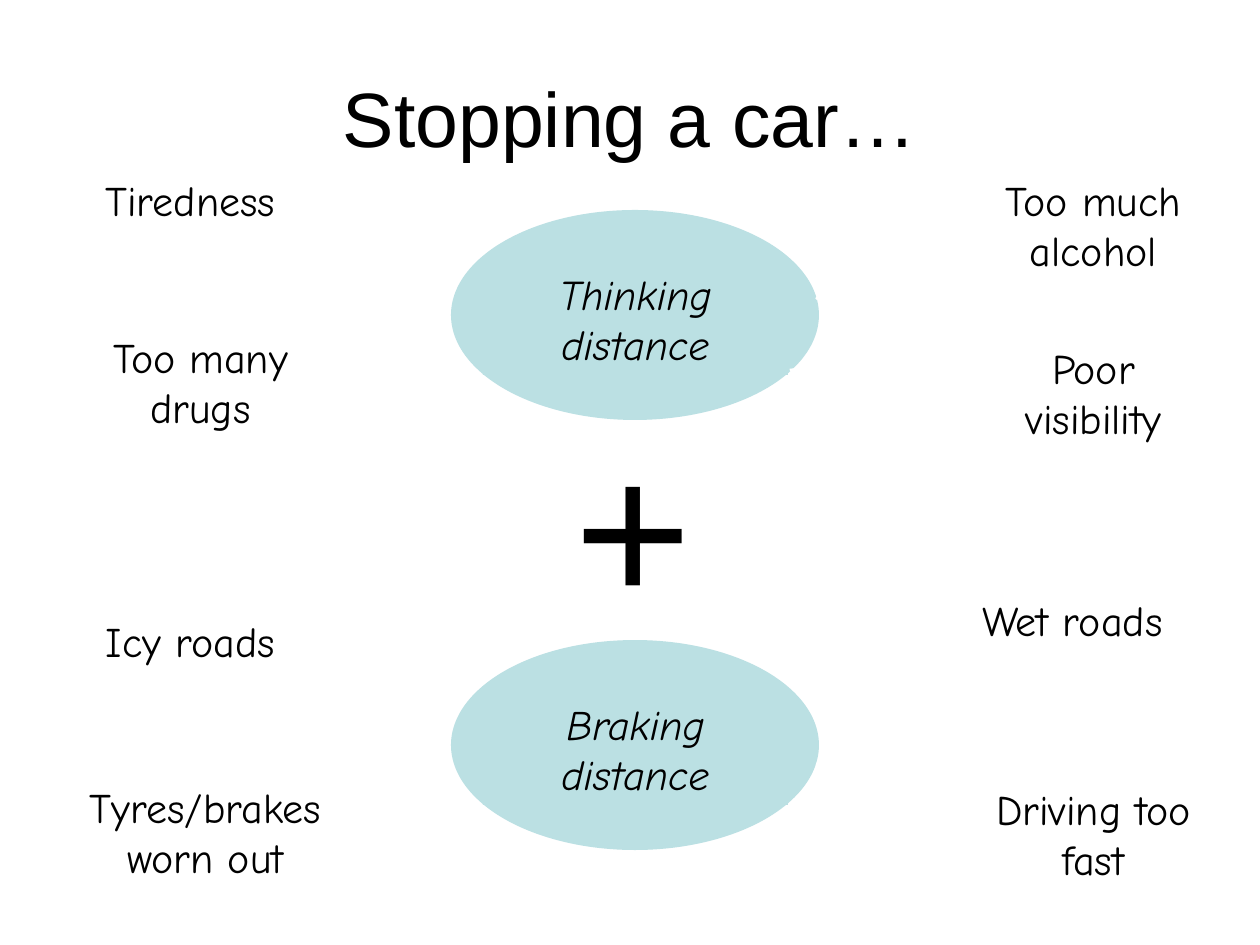
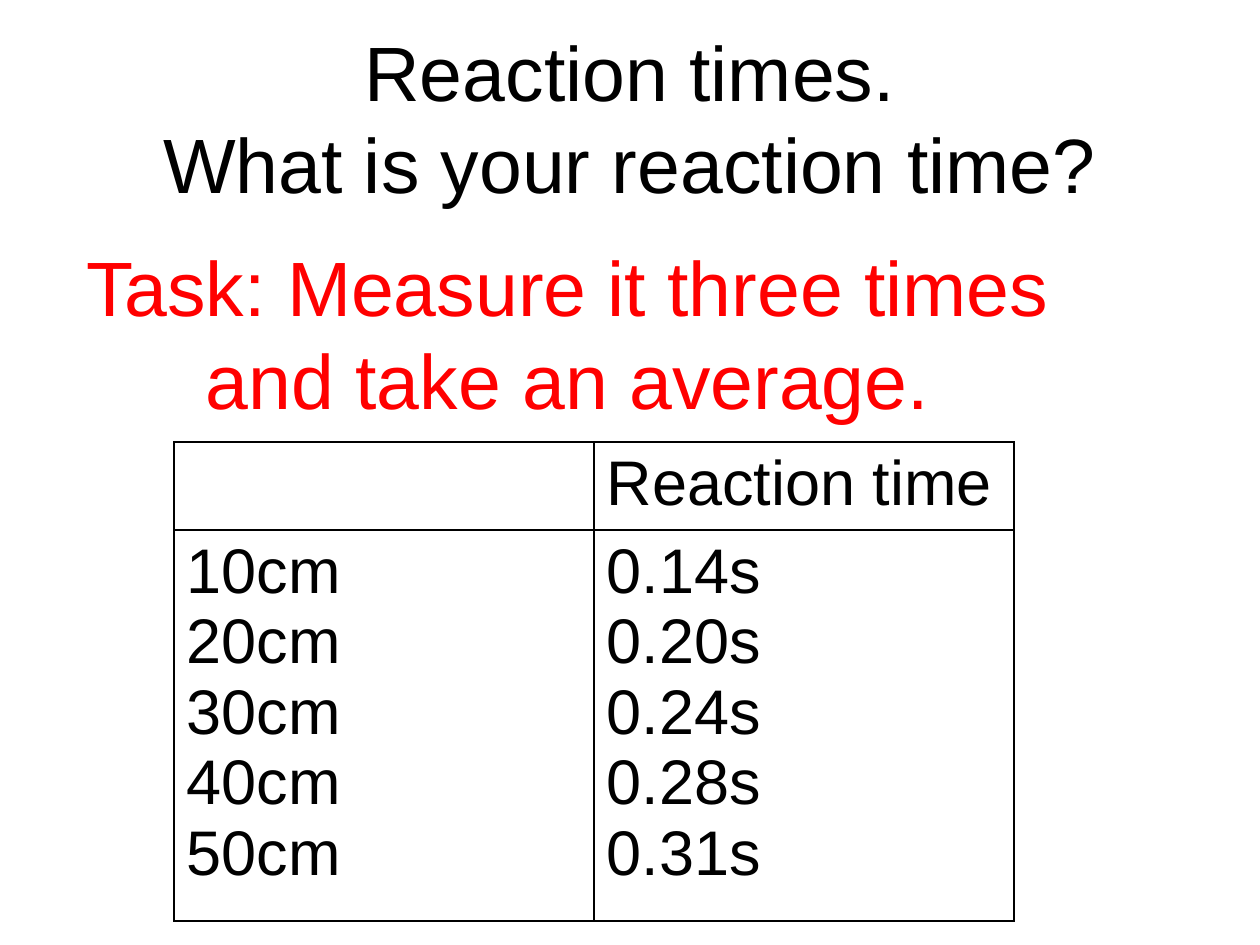
from lxml.etree import SubElement
from pptx import Presentation
from pptx.dml.color import RGBColor
from pptx.enum.shapes import MSO_SHAPE as Preset
from pptx.enum.text import MSO_ANCHOR as Anchor, MSO_AUTO_SIZE as AutoSize, PP_ALIGN as Align
from pptx.oxml.ns import qn
from pptx.util import Emu, Pt

PX_PER_INCH = 126
BLACK, WHITE, RED, PALE_TEAL = "000000", "FFFFFF", "FF0000", "BBE0E3"
HEADING_FONT, LABEL_FONT = "Arial", "Comic Neue"
HEADING_SIZE, LABEL_SIZE, TABLE_SIZE, PLUS_SIZE = 44, 24, 36, 115
TITLE_BOX = (63, 38, 1134, 158)

DISTANCES = [("Braking distance", (451, 640, 368, 210)),
             ("Thinking distance", (451, 210, 368, 210))]
FACTORS = [
    ("Too much alcohol", (966, 168, 255, 118), (0.133, -0.041, 1.111, -0.588)),
    ("Tiredness", (63, 168, 255, 73), (0.214, 1.041, 1.393, 1.567)),
    ("Too many drugs", (73, 325, 255, 118), (0.133, 1.041, 0.044, 1.474)),
    ("Wet roads", (945, 588, 255, 63), (0.25, -0.041, 1.458, -0.619)),
    ("Driving too fast", (966, 777, 255, 118), (0.133, -0.041, -0.111, -0.588)),
    ("Tyres/brakes worn out", (53, 775, 305, 118), (0.133, 1.034, 0, 1.31)),
    ("Icy roads", (63, 609, 255, 73), (0.214, 1.041, 1.393, 1.546)),
    ("Poor visibility", (966, 336, 255, 118), (0.133, -0.041, 0.289, -0.691)),
]
REACTION_TIMES = {"10cm": "0.14s", "20cm": "0.20s", "30cm": "0.24s",
                  "40cm": "0.28s", "50cm": "0.31s"}


def px(length):
    """Turn pixels into EMU."""
    return Emu(round(length * 914400 / PX_PER_INCH))


def place(box):
    """Turn a pixel box into EMU lengths."""
    return [px(length) for length in box]


def color(value):
    """Turn a hex string into a colour."""
    return RGBColor.from_string(value)


def write(frame, text, size, face=HEADING_FONT, ink=BLACK, align=Align.CENTER,
          anchor=Anchor.MIDDLE, italic=False):
    """Fill a text frame and format all its paragraphs alike."""
    frame.text = text
    frame.word_wrap = True
    frame.auto_size = AutoSize.NONE
    frame.vertical_anchor = anchor
    for paragraph in frame.paragraphs:
        paragraph.alignment = align
        paragraph.font.name = face
        paragraph.font.size = Pt(size)
        paragraph.font.italic = italic
        paragraph.font.color.rgb = color(ink)


def add_titled_slide(deck, heading):
    """Add a title-only slide with the shared title style."""
    slide = deck.slides.add_slide(deck.slide_layouts[5])
    title = slide.shapes.title
    title.left, title.top, title.width, title.height = place(TITLE_BOX)
    write(title.text_frame, heading, HEADING_SIZE)
    return slide


def add_text(slide, box, text, size, ink=BLACK):
    """Add a centred line of heading text."""
    write(slide.shapes.add_textbox(*place(box)).text_frame, text, size, ink=ink)


def add_distance(slide, name, box):
    """Add an ellipse grouped with its italic label."""
    left, top, width, height = box
    group = slide.shapes.add_group_shape()
    label_box = (left + 32, top + 52, width - 63, height - 97)
    for preset, part_box in ((Preset.OVAL, box), (Preset.RECTANGLE, label_box)):
        part = group.shapes.add_shape(preset, *place(part_box))
        part.shadow.inherit = False
        part.fill.solid()
        part.fill.fore_color.rgb = color(PALE_TEAL)
        part.line.fill.background()
    write(part.text_frame, name, LABEL_SIZE, LABEL_FONT, anchor=Anchor.TOP, italic=True)


def add_factor(slide, name, box, pointer):
    """Add a white-lined callout that names one factor."""
    callout = slide.shapes.add_shape(Preset.LINE_CALLOUT_1, *place(box))
    callout.shadow.inherit = False
    callout.fill.background()
    callout.line.color.rgb = color(WHITE)
    callout.line.width = Pt(1.5)
    for index, value in enumerate(pointer):
        callout.adjustments[index] = value
    write(callout.text_frame, name, LABEL_SIZE, LABEL_FONT, anchor=Anchor.TOP)


def add_borders(cell):
    """Draw a thin black line on each side of a cell."""
    properties = cell._tc.get_or_add_tcPr()
    for side in ("lnL", "lnR", "lnT", "lnB"):
        line = SubElement(properties, qn(f"a:{side}"), w=str(Pt(1)))
        fill = SubElement(line, qn("a:solidFill"))
        SubElement(fill, qn("a:srgbClr"), val=BLACK)


def add_results(slide, box):
    """Add the table of distances and reaction times."""
    left, top, width, height = box
    header_height = 88
    table = slide.shapes.add_table(2, 2, *place(box)).table
    table.first_row = table.horz_banding = False
    for column in table.columns:
        column.width = px(width // 2)
    table.rows[0].height = px(header_height)
    table.rows[1].height = px(height - header_height)
    contents = ["", "Reaction time",
                "\n".join(REACTION_TIMES), "\n".join(REACTION_TIMES.values())]
    for cell, text in zip(table.iter_cells(), contents):
        add_borders(cell)
        cell.fill.background()
        write_cell(cell, text)


def write_cell(cell, text):
    """Fill a table cell with left-aligned text."""
    cell.text = text
    for paragraph in cell.text_frame.paragraphs:
        paragraph.font.name = HEADING_FONT
        paragraph.font.size = Pt(TABLE_SIZE)
        paragraph.font.color.rgb = color(BLACK)


def build_stopping(deck):
    """Build the slide on what adds to stopping distance."""
    slide = add_titled_slide(deck, "Stopping a car…")
    for distance in DISTANCES:
        add_distance(slide, *distance)
    for factor in FACTORS:
        add_factor(slide, *factor)
    add_text(slide, (480, 444, 307, 158), "+", PLUS_SIZE)


def build_reaction(deck):
    """Build the slide on measuring reaction times."""
    slide = add_titled_slide(deck, "Reaction times.\vWhat is your reaction time?")
    add_results(slide, (174, 442, 840, 479))
    add_text(slide, (1, 253, 1134, 158),
             "Task: Measure it three times and take an average.", HEADING_SIZE, RED)


def main():
    """Build and save the deck."""
    deck = Presentation()
    deck.slide_width, deck.slide_height = px(1260), px(945)
    build_stopping(deck)
    build_reaction(deck)
    deck.save("out.pptx")


if __name__ == "__main__":
    main()
